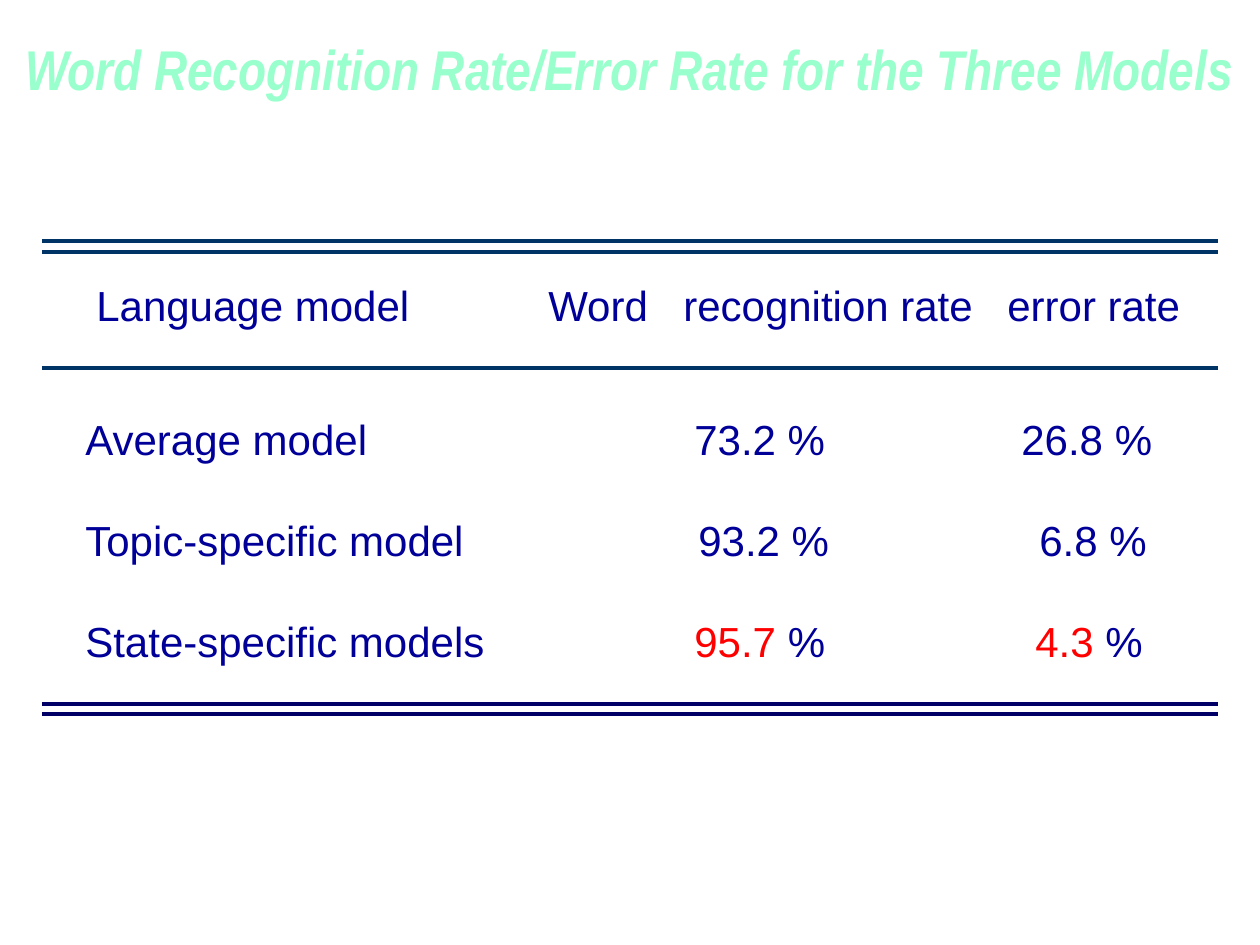
from lxml import etree
from pptx import Presentation
from pptx import util as u
from pptx.dml.color import RGBColor
from pptx.enum import shapes, text
from pptx.oxml import ns

WHITE = RGBColor(0xFF, 0xFF, 0xFF)
MINT = RGBColor(0x99, 0xFF, 0xCC)
BLUE = RGBColor(0x00, 0x00, 0x99)
RED = RGBColor(0xFF, 0x00, 0x00)
TEAL = RGBColor(0x00, 0x33, 0x66)
NAVY = RGBColor(0x00, 0x00, 0x66)

# Tab stops in px from the text edge, then runs of (text, colour)
HEAD = ((452, 587, 911),
        [("Language model\tWord\trecognition rate\terror rate", BLUE)])
ROWS = [
    ((609, 936), [("Average model\t73.2 %\t26.8 %", BLUE)]),
    ((613, 954), [("Topic-specific model\t93.2 %\t6.8 %", BLUE)]),
    ((609, 950), [("State-specific models\t", BLUE), ("95.7", RED),
                  (" %\t", BLUE), ("4.3 ", RED), ("%", BLUE)]),
]


def px(n):
    return u.Emu(round(n * 914400 / 126))


def add_run(para, words, color, size=24, font="Arial"):
    run = para.add_run()
    run.text = words
    run.font.size = u.Pt(size)
    run.font.name = font
    run.font.color.rgb = color
    return run


def set_tabs(para, stops):
    props = para._p.get_or_add_pPr()
    tabs = etree.SubElement(props, ns.qn("a:tabLst"))
    for stop in stops:
        etree.SubElement(tabs, ns.qn("a:tab"), pos=str(px(stop)), algn="l")


def add_rows(slide, box, rows, space=None):
    frame = slide.shapes.add_textbox(*map(px, box)).text_frame
    frame.word_wrap = True
    for i, (stops, runs) in enumerate(rows):
        para = frame.add_paragraph() if i else frame.paragraphs[0]
        if space:
            para.line_spacing = space
        set_tabs(para, stops)
        for words, color in runs:
            add_run(para, words, color)


def add_rule(slide, left, top, width, color):
    line = slide.shapes.add_connector(
        shapes.MSO_CONNECTOR.STRAIGHT,
        px(left), px(top), px(left + width), px(top))
    line.line.color.rgb = color
    line.line.width = u.Pt(2.25)
    etree.SubElement(line._element.spPr, ns.qn("a:effectLst"))


def add_title(slide, left, top, width, height):
    title = slide.shapes.title
    title.left, title.top = px(left), px(top)
    title.width, title.height = px(width), px(height)
    frame = title.text_frame
    frame.auto_size = text.MSO_AUTO_SIZE.NONE
    frame.vertical_anchor = text.MSO_ANCHOR.MIDDLE
    para = frame.paragraphs[0]
    para.alignment = text.PP_ALIGN.CENTER
    run = add_run(para, "Word Recognition Rate/Error Rate for the Three Models",
                  MINT, 32, "Arial Narrow")
    run.font.bold = run.font.italic = True


def add_results(slide, left, top, width, height):
    # Panel
    panel = slide.shapes.add_shape(
        shapes.MSO_SHAPE.RECTANGLE, px(left), px(top), px(width), px(height))
    panel.shadow.inherit = False
    panel.fill.solid()
    panel.fill.fore_color.rgb = WHITE
    panel.line.color.rgb = WHITE
    panel.line.width = u.Pt(0.75)
    # Header and result rows
    add_rows(slide, (left + 84, top + 105, 1144, 63), [HEAD])
    add_rows(slide, (left + 73, top + 189, 1124, 416), ROWS, space=2.0)
    # Rules
    for drop, color in ((73, TEAL), (84, TEAL), (200, TEAL),
                        (536, NAVY), (546, NAVY)):
        add_rule(slide, left + 42, top + drop, width - 84, color)


def main():
    deck = Presentation()
    deck.slide_width, deck.slide_height = px(1260), px(945)
    slide = deck.slides.add_slide(deck.slide_layouts[5])
    add_title(slide, 0, 42, 1260, 53)
    add_results(slide, 0, 168, 1260, 661)
    deck.save("out.pptx")


if __name__ == "__main__":
    main()
